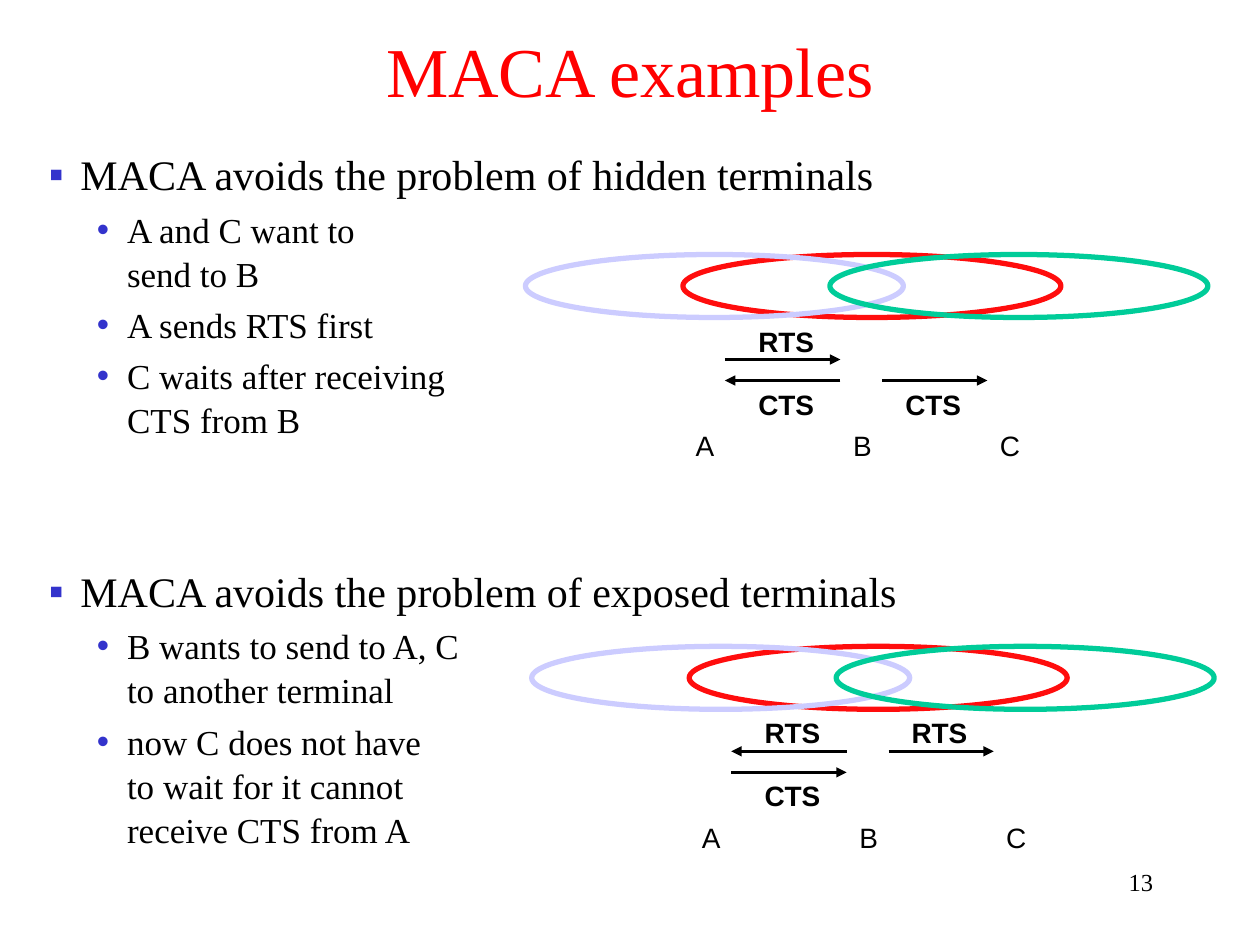
from typing import NamedTuple

from lxml import etree
from pptx import Presentation
from pptx.dml.color import RGBColor
from pptx.enum.shapes import MSO_CONNECTOR, MSO_SHAPE
from pptx.enum.text import MSO_ANCHOR, PP_ALIGN
from pptx.oxml.ns import qn
from pptx.util import Inches, Pt

OVAL = MSO_SHAPE.OVAL
STRAIGHT = MSO_CONNECTOR.STRAIGHT
MIDDLE, TOP = MSO_ANCHOR.MIDDLE, MSO_ANCHOR.TOP
LEFT, CENTER, RIGHT = PP_ALIGN.LEFT, PP_ALIGN.CENTER, PP_ALIGN.RIGHT

SERIF, SANS = "Times New Roman", "Arial"
BLACK, RED, BULLET_BLUE = "000000", "FF0000", "3333CC"
CELL = 1 / 12  # side of one diagram grid cell, in inches


class Level(NamedTuple):
    size: float
    margin: float
    hanging: float
    bullet: str


class Item(NamedTuple):
    level: int
    text: str
    before: float


class Range(NamedTuple):
    col: int
    color: str


class Label(NamedTuple):
    col: int
    row: int
    text: str
    width: float = 0.64
    bold: bool = True


class Arrow(NamedTuple):
    start: int
    end: int
    row: int


class Diagram(NamedTuple):
    left: float
    top: float
    arrows: list[Arrow]
    messages: list[Label]


LEVELS = [Level(24, 0.25, 0.25, "▪"), Level(20, 0.62, 0.24, "•")]
ITEMS = [
    Item(0, "MACA avoids the problem of hidden terminals", 0),
    Item(1, "A and C want to \vsend to B", 4),
    Item(1, "A sends RTS first", 4),
    Item(1, "C waits after receiving \vCTS from B", 4),
    Item(0, "MACA avoids the problem of exposed terminals", 70),
    Item(1, "B wants to send to A, C \vto another terminal", 4),
    Item(1, "now C does not have \vto wait for it cannot \vreceive CTS from A", 4),
]
RANGES = [Range(15, "FF0D0D"), Range(0, "CCCCFF"), Range(29, "00CC99")]
STATIONS = [Label(col, 16, name, 0.35, False)
            for col, name in ((15, "A"), (30, "B"), (44, "C"))]
DIAGRAMS = [
    Diagram(4.17, 2.02,
            [Arrow(19, 30, 10), Arrow(34, 44, 12), Arrow(30, 19, 12)],
            [Label(21, 6, "RTS"), Label(35, 12, "CTS"), Label(21, 12, "CTS")]),
    Diagram(4.22, 5.13,
            [Arrow(30, 19, 10), Arrow(34, 44, 10), Arrow(19, 30, 12)],
            [Label(21, 6, "RTS"), Label(21, 12, "CTS"), Label(35, 6, "RTS")]),
]


def rgb(value: str) -> RGBColor:
    return RGBColor.from_string(value)


def format_runs(p, color: str = BLACK, **values) -> None:
    for r in p.runs:
        r.font.color.rgb = rgb(color)
        for name, value in values.items():
            setattr(r.font, name, value)


def write(sp, text: str, align, anchor, wrap: bool, **values) -> None:
    """Put one formatted paragraph into a shape."""
    tf = sp.text_frame
    tf.word_wrap, tf.vertical_anchor = wrap, anchor
    p = tf.paragraphs[0]
    p.text, p.alignment = text, align
    format_runs(p, **values)


def add_box(s, left: float, top: float, width: float, height: float):
    return s.shapes.add_textbox(*map(Inches, (left, top, width, height)))


def set_bullet(p, level: Level) -> None:
    pPr = p._p.get_or_add_pPr()
    pPr.set("marL", str(Inches(level.margin)))
    pPr.set("indent", str(-Inches(level.hanging)))
    color = etree.SubElement(pPr, qn("a:buClr"))
    etree.SubElement(color, qn("a:srgbClr"), val=BULLET_BLUE)
    etree.SubElement(pPr, qn("a:buFont"), typeface=SANS)
    etree.SubElement(pPr, qn("a:buChar"), char=level.bullet)


def add_bullets(s, items: list[Item]) -> None:
    tf = add_box(s, 0.29, 1.11, 8.93, 6.12).text_frame
    tf.word_wrap = True
    for i, item in enumerate(items):
        p = tf.add_paragraph() if i else tf.paragraphs[0]
        level = LEVELS[item.level]
        p.text, p.level, p.alignment = item.text, item.level, LEFT
        set_bullet(p, level)
        p.line_spacing, p.space_before = 1.05, Pt(item.before)
        format_runs(p, name=SERIF, size=Pt(level.size))


def add_arrow(s, x1: float, x2: float, y: float) -> None:
    line = s.shapes.add_connector(STRAIGHT, *map(Inches, (x1, y, x2, y)))
    line.line.color.rgb, line.line.width = rgb(BLACK), Pt(1.5)
    etree.SubElement(line.line._get_or_add_ln(), qn("a:tailEnd"), type="triangle")
    etree.SubElement(line._element.spPr, qn("a:effectLst"))


def add_diagram(s, d: Diagram) -> None:
    def x(col: int) -> float:
        return d.left + col * CELL

    def y(row: int) -> float:
        return d.top + row * CELL

    for area in RANGES:
        sp = s.shapes.add_shape(
            OVAL, *map(Inches, (x(area.col), d.top, 36 * CELL, 6 * CELL)))
        sp.shadow.inherit = False
        sp.fill.background()
        sp.line.color.rgb, sp.line.width = rgb(area.color), Pt(3)
    for arrow in d.arrows:
        add_arrow(s, x(arrow.start), x(arrow.end), y(arrow.row))
    for label in STATIONS + d.messages:
        box = add_box(s, x(label.col), y(label.row), label.width, 0.37)
        write(box, label.text, CENTER, MIDDLE, False,
              name=SANS, size=Pt(16), bold=label.bold)


def main() -> None:
    prs = Presentation()
    prs.slide_width, prs.slide_height = Inches(10), Inches(7.5)
    s = prs.slides.add_slide(prs.slide_layouts[5])

    title = s.shapes.title
    place = {"left": 0, "top": 0.21, "width": 10, "height": 0.68}
    for name, value in place.items():
        setattr(title, name, Inches(value))
    write(title, "MACA examples", CENTER, MIDDLE, True,
          name=SERIF, size=Pt(40), color=RED)

    add_bullets(s, ITEMS)
    for d in DIAGRAMS:
        add_diagram(s, d)
    write(add_box(s, 7.17, 6.83, 2.08, 0.5), "13", RIGHT, TOP, True,
          name=SERIF, size=Pt(14))
    prs.save("out.pptx")


if __name__ == "__main__":
    main()
